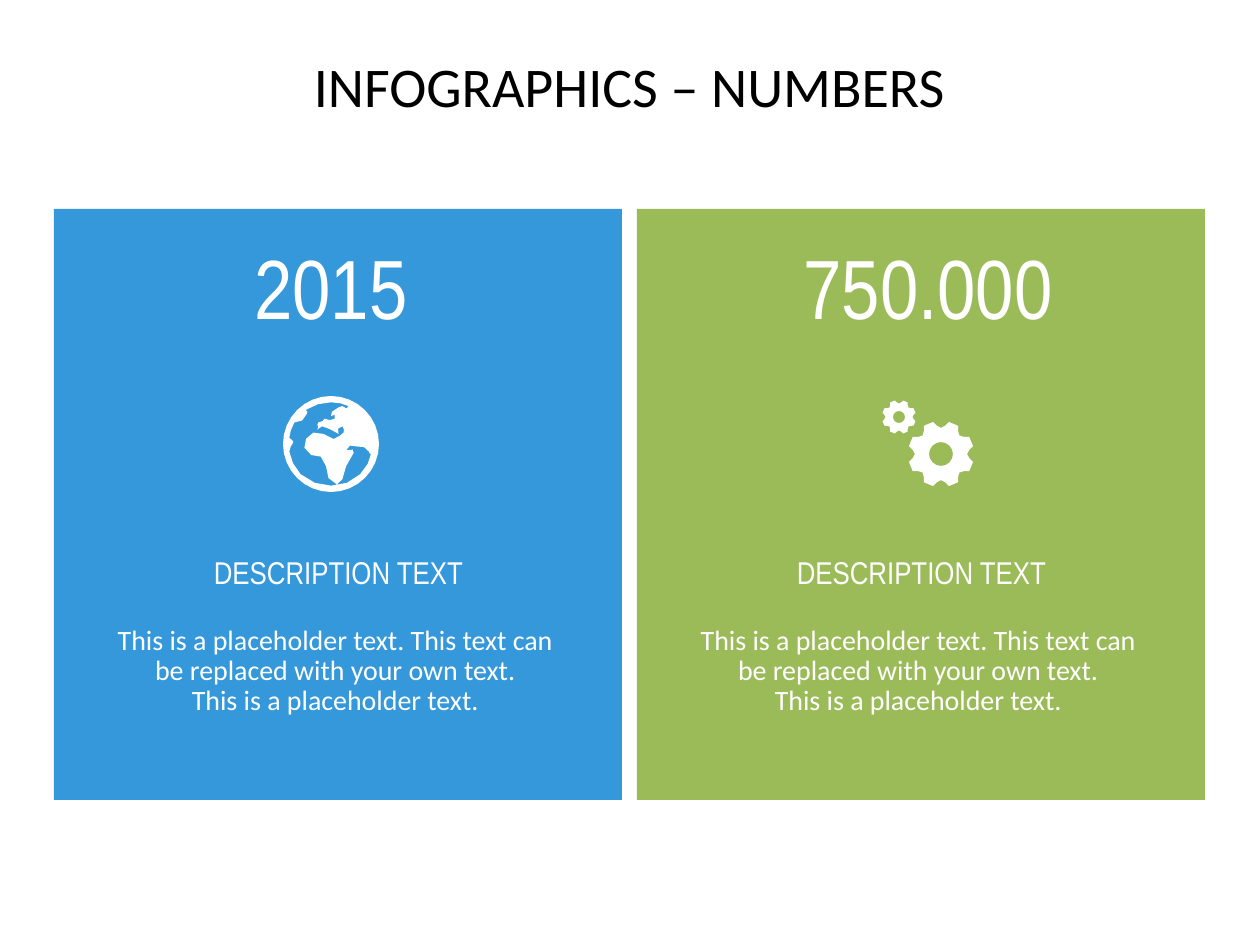
from dataclasses import dataclass
from math import cos, radians, sin

from pptx import Presentation
from pptx.dml.color import RGBColor as Rgb
from pptx.enum.shapes import MSO_SHAPE as Shape
from pptx.enum.text import MSO_ANCHOR as Anchor, MSO_AUTO_SIZE as AutoSize, PP_ALIGN as Align
from pptx.util import Pt

EMU_PER_PX = 914400 / 126


@dataclass(frozen=True)
class Theme:
    """Colours, fonts and type sizes of the slide."""
    blue: str = "3498DB"
    green: str = "9BBB59"
    white: str = "FFFFFF"
    black: str = "000000"
    body_font: str = "Calibri"
    accent_font: str = "Arial Narrow"
    title_size: int = 32
    number_size: int = 48
    heading_size: int = 18
    body_size: int = 16


@dataclass(frozen=True)
class Box:
    """A rectangle in px."""
    left: int
    top: int
    width: int
    height: int

    def inner(self, left, top, width, height):
        """Return a box placed relative to this one."""
        return Box(self.left + left, self.top + top, width, height)

    def emu(self):
        """Return left, top, width and height in EMU."""
        return [emu(px) for px in (self.left, self.top, self.width, self.height)]


THEME = Theme()
HEADING = "DESCRIPTION TEXT"
BODY_LINES = (
    "This is a placeholder text. This text can ",
    "be replaced with your own text. ",
    "This is a placeholder text. ",
)
GLOBE_GRID = 76
OCEAN_START = (61, 62)
OCEAN_CURVES = (
    (66, 57, 69, 51, 70, 45), (70, 46, 68, 47, 68, 44), (67, 38, 62, 42, 59, 40),
    (56, 42, 49, 35, 50, 43), (52, 46, 60, 38, 56, 45), (53, 50, 46, 61, 47, 66),
    (47, 75, 39, 68, 36, 65), (34, 60, 35, 51, 30, 48), (24, 48, 20, 47, 17, 41),
    (16, 37, 19, 30, 24, 29), (31, 25, 33, 34, 40, 34), (42, 32, 47, 32, 48, 29),
    (44, 28, 53, 25, 47, 24), (44, 24, 42, 27, 44, 30), (37, 31, 37, 21, 31, 24),
    (31, 29, 21, 26, 28, 25), (30, 24, 24, 21, 28, 21), (29, 21, 34, 19, 33, 18),
    (36, 16, 38, 23, 41, 18), (43, 14, 40, 14, 38, 16), (36, 14, 40, 11, 44, 9),
    (45, 9, 46, 8, 47, 8), (49, 10, 52, 11, 52, 8), (48, 6, 43, 5, 38, 5),
    (31, 5, 24, 7, 18, 11), (19, 12, 20, 13, 19, 14), (18, 18, 13, 22, 9, 21),
    (7, 25, 5, 29, 5, 33), (8, 35, 9, 37, 8, 37), (7, 39, 5, 41, 5, 44),
    (6, 50, 9, 57, 14, 62), (21, 68, 29, 71, 38, 71), (47, 71, 55, 68, 61, 62),
)
NOTCH = ((-14, 1), (-8.5, 0.87), (0, 0.79), (8.5, 0.87), (14, 1))


def emu(px):
    """Turn px into EMU."""
    return round(px * EMU_PER_PX)


def paint(shape, colour):
    """Give a shape a plain fill without line or shadow."""
    shape.shadow.inherit = False
    shape.fill.solid()
    shape.fill.fore_color.rgb = Rgb.from_string(colour)
    shape.line.fill.background()


def set_frame(frame, margins=(0, 0, 0, 0), anchor=Anchor.TOP):
    """Set wrapping, px margins and anchor of a text frame."""
    frame.word_wrap = True
    frame.auto_size = AutoSize.NONE
    frame.vertical_anchor = anchor
    frame.margin_left, frame.margin_top, frame.margin_right, frame.margin_bottom = map(emu, margins)


def write(paragraph, lines, font, size, colour, before=0, after=0):
    """Fill a centred paragraph with one run for each line."""
    paragraph.alignment = Align.CENTER
    paragraph.line_spacing = 0.9
    paragraph.space_before, paragraph.space_after = Pt(before), Pt(after)
    for index, line in enumerate(lines):
        if index:
            paragraph.add_line_break()
        run = paragraph.add_run()
        run.text = line
        run.font.name, run.font.size = font, Pt(size)
        run.font.color.rgb = Rgb.from_string(colour)


def polar(centre, radius, angle):
    """Return the point at an angle in degrees around a centre."""
    return centre[0] + radius * cos(radians(angle)), centre[1] + radius * sin(radians(angle))


def circle(centre, radius, sides):
    """Return the outline of a circle."""
    return [polar(centre, radius, 360 * side / sides) for side in range(sides)]


def flatten(start, curves, steps=2):
    """Turn a chain of cubic curves into points."""
    points = [start]
    for x1, y1, x2, y2, x3, y3 in curves:
        x0, y0 = points[-1]
        for step in range(1, steps + 1):
            t = step / steps
            a, b, c, d = (1 - t) ** 3, 3 * t * (1 - t) ** 2, 3 * t * t * (1 - t), t ** 3
            points.append((a * x0 + b * x1 + c * x2 + d * x3, a * y0 + b * y1 + c * y2 + d * y3))
    return points


def add_outline(shapes, box, contours):
    """Draw white contours given in px from the corner of the box."""
    placed = [[(emu(box.left + x), emu(box.top + y)) for x, y in contour] for contour in contours]
    builder = shapes.build_freeform(*placed[0][0])
    for index, contour in enumerate(placed):
        if index:
            builder.move_to(*contour[0])
        builder.add_line_segments(contour[1:], close=True)
    paint(builder.convert_to_shape(), THEME.white)


def add_globe(shapes, box):
    """Draw the globe with its oceans cut out."""
    unit = box.width / GLOBE_GRID
    ocean = [(x * unit, y * unit) for x, y in flatten(OCEAN_START, OCEAN_CURVES)]
    radius = box.width / 2
    add_outline(shapes, box, [circle((radius, radius), radius, 32), ocean])


def add_gears(shapes, box):
    """Draw a large and a small gear as a group."""
    pair = shapes.add_group_shape().shapes
    for centre, radius, hole in (((61, 58), 33, 12), ((19, 21), 17, 6)):
        rim = [polar(centre, radius * depth, notch + turn)
               for notch in range(0, 360, 45) for turn, depth in NOTCH]
        add_outline(pair, box, [rim, circle(centre, hole, 16)])


def add_title(slide, box, text):
    """Place and fill the title."""
    title = slide.shapes.title
    title.left, title.top, title.width, title.height = box.emu()
    set_frame(title.text_frame)
    write(title.text_frame.paragraphs[0], [text], THEME.body_font, THEME.title_size, THEME.black)


def add_card(slide, box, colour, number, add_icon, content_left):
    """Draw a card with its number, icon and description."""
    card = slide.shapes.add_shape(Shape.RECTANGLE, *box.emu())
    paint(card, colour)
    set_frame(card.text_frame, (13, 348, 12, 49))
    write(card.text_frame.paragraphs[0], [HEADING], THEME.accent_font, THEME.heading_size,
          THEME.white, after=10)
    write(card.text_frame.add_paragraph(), BODY_LINES, THEME.body_font, THEME.body_size,
          THEME.white, before=10, after=10)

    content_width, icon_size = 554, 96
    add_icon(slide.shapes, box.inner(content_left + (content_width - icon_size) // 2, 187,
                                     icon_size, icon_size))
    figure = slide.shapes.add_textbox(*box.inner(content_left, 0, content_width, 166).emu())
    set_frame(figure.text_frame, anchor=Anchor.MIDDLE)
    write(figure.text_frame.paragraphs[0], [number], THEME.accent_font, THEME.number_size,
          THEME.white, after=10)


def main():
    """Build and save the slide."""
    deck = Presentation()
    deck.slide_width, deck.slide_height = emu(1260), emu(945)
    slide = deck.slides.add_slide(deck.slide_layouts[5])
    add_title(slide, Box(54, 59, 1151, 149), "INFOGRAPHICS – NUMBERS")
    first, pitch = Box(54, 209, 568, 591), 583
    cards = ((THEME.blue, "2015", add_globe, 0), (THEME.green, "750.000", add_gears, 14))
    for index, details in enumerate(cards):
        add_card(slide, first.inner(index * pitch, 0, first.width, first.height), *details)
    deck.save("out.pptx")


if __name__ == "__main__":
    main()
